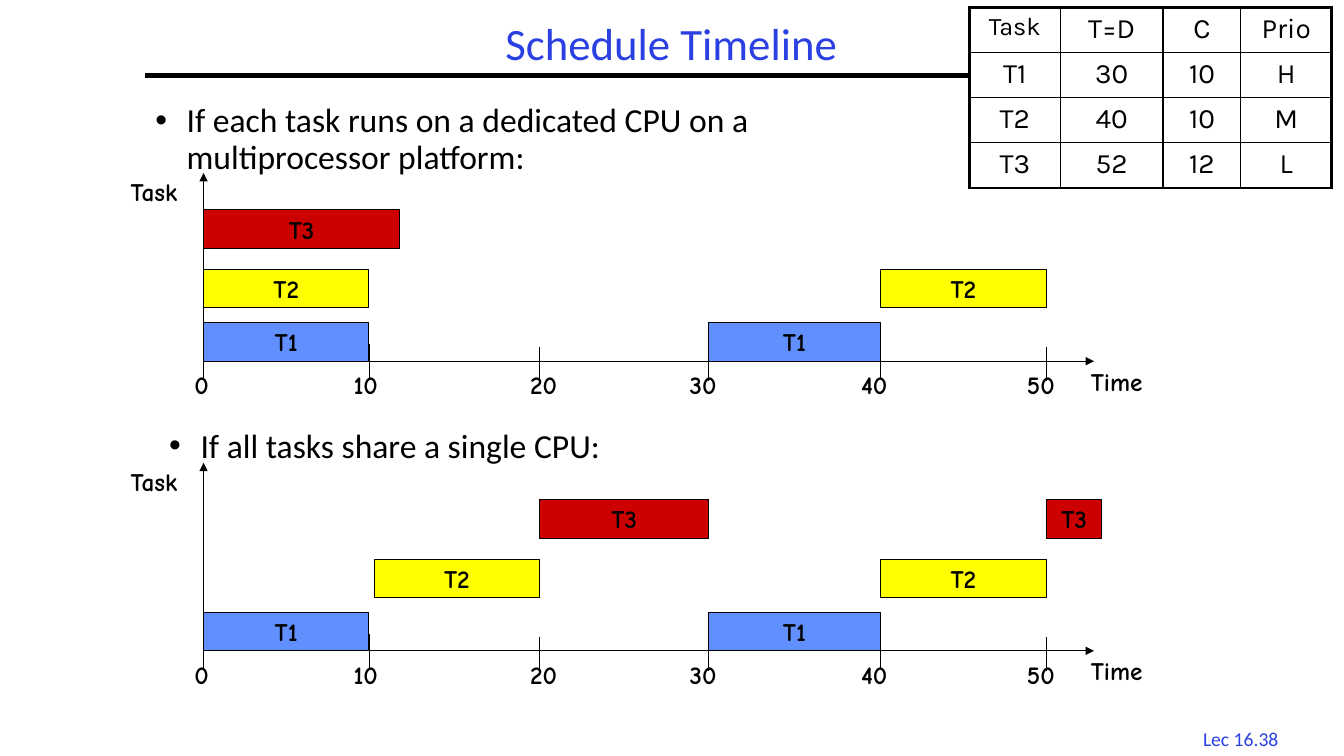
from lxml import etree
from pptx import Presentation
from pptx import util as u
from pptx.dml.color import RGBColor
from pptx.enum import shapes, text
from pptx.oxml import ns

BLACK = RGBColor(0, 0, 0)
WHITE = RGBColor(255, 255, 255)
INDIGO = RGBColor(0x2A, 0x40, 0xE2)
BLUE = RGBColor(0x61, 0x8F, 0xFD)
YELLOW = RGBColor(255, 255, 0)
RED = RGBColor(0xCC, 0, 0)

TICKS = [  # value, x, y shift, label x
    (0, 5.13, 0, 4.65),
    (10, 9.3, 0, 8.66),
    (20, 13.6, 0.08, 13.11),
    (30, 17.86, 0.08, 17.13),
    (40, 22.18, 0, 21.45),
    (50, 26.38, 0.08, 25.63),
]
TASKS = {"T1": (BLUE, 0.97), "T2": (YELLOW, 2.31), "T3": (RED, 3.81)}
DEDICATED = [("T1", 0, 10), ("T1", 30, 40), ("T2", 0, 10),
             ("T2", 40, 50), ("T3", 0, 11.8)]
SHARED = [("T1", 0, 10), ("T1", 30, 40), ("T2", 10.3, 20),
          ("T2", 40, 50), ("T3", 20, 30), ("T3", 50, 53.3)]
TABLE = [("Task", "T=D", "C", "Prio"),
         ("T1", "30", "10", "H"),
         ("T2", "40", "10", "M"),
         ("T3", "52", "12", "L")]


def time_x(t):
    i = min(int(t // 10), len(TICKS) - 2)
    start, end = TICKS[i][1], TICKS[i + 1][1]
    return start + (t - TICKS[i][0]) / 10 * (end - start)


class Deck:
    body_font = "Calibri"
    label_font = "Comic Neue"
    table_font = "Karla"

    def __init__(self):
        self.prs = Presentation()
        self.prs.slide_width = u.Cm(33.87)
        self.prs.slide_height = u.Cm(19.05)
        self.s = self.prs.slides.add_slide(self.prs.slide_layouts[3])

    def style(self, p, font, size, color=BLACK, bold=False, align=None):
        p.alignment = align
        for r in p.runs:
            r.font.name = font
            r.font.size = u.Pt(size)
            r.font.bold = bold
            r.font.color.rgb = color

    def placeholder(self, index, box, words):
        sp = self.s.placeholders[index]
        sp.left, sp.top, sp.width, sp.height = map(u.Cm, box)
        tf = sp.text_frame
        tf.text = words
        tf.auto_size = text.MSO_AUTO_SIZE.NONE
        p = tf.paragraphs[0]
        p.line_spacing = 0.9
        p.space_before = u.Pt(0)
        return tf, p

    def title(self, box, words):
        tf, p = self.placeholder(0, box, words)
        tf.vertical_anchor = text.MSO_ANCHOR.MIDDLE
        self.style(p, self.body_font, 32, INDIGO, align=text.PP_ALIGN.CENTER)

    def bullet(self, index, box, words):
        tf, p = self.placeholder(index, box, words)
        tf.vertical_anchor = text.MSO_ANCHOR.TOP
        pPr = p._p.get_or_add_pPr()
        pPr.set("marL", str(u.Cm(0.79)))
        pPr.set("indent", str(-u.Cm(0.79)))
        etree.SubElement(pPr, ns.qn("a:buChar")).set("char", "•")
        self.style(p, self.body_font, 24, align=text.PP_ALIGN.LEFT)

    def line(self, x1, y1, x2, y2, width=0.75, arrow=False):
        c = self.s.shapes.add_connector(
            shapes.MSO_CONNECTOR.STRAIGHT, *map(u.Cm, (x1, y1, x2, y2)))
        c.line.color.rgb = BLACK
        c.line.width = u.Pt(width)
        if arrow:
            ln = c.line._get_or_add_ln()
            etree.SubElement(ln, ns.qn("a:tailEnd")).set("type", "triangle")
        etree.SubElement(c._element.spPr, ns.qn("a:effectLst"))

    def label(self, x, y, w, words, h=1.02, font=label_font, size=18,
              color=BLACK, bold=True, align=text.PP_ALIGN.LEFT):
        sp = self.s.shapes.add_textbox(*map(u.Cm, (x, y, w, h)))
        tf = sp.text_frame
        tf.text = words
        tf.word_wrap = False
        tf.auto_size = text.MSO_AUTO_SIZE.SHAPE_TO_FIT_TEXT
        self.style(tf.paragraphs[0], font, size, color, bold, align)

    def bar(self, x, y, w, words, color):
        sp = self.s.shapes.add_shape(
            shapes.MSO_SHAPE.RECTANGLE, *map(u.Cm, (x, y, w, 0.97)))
        sp.shadow.inherit = False
        sp.fill.solid()
        sp.fill.fore_color.rgb = color
        sp.line.color.rgb = BLACK
        sp.line.width = u.Pt(0.75)
        tf = sp.text_frame
        tf.text = words
        tf.word_wrap = False
        tf.vertical_anchor = text.MSO_ANCHOR.MIDDLE
        self.style(tf.paragraphs[0], self.label_font, 18, bold=True,
                   align=text.PP_ALIGN.CENTER)

    def timeline(self, base, jobs):
        origin = TICKS[0][1]
        self.line(origin, base, 27.57, base, arrow=True)
        self.line(origin, base, origin, base - 4.74, arrow=True)
        for value, x, shift, label_x in TICKS:
            self.line(x, base - 0.43 + shift, x, base + 0.43 + shift)
            self.label(label_x, base + 0.09, 1.3 if value else 0.91, str(value))
        for task, start, end in jobs:
            color, rise = TASKS[task]
            x = time_x(start)
            self.bar(x, base - rise, time_x(end) - x, task, color)
        self.label(27.24, base, 2.01, "Time")
        self.label(3.04, base - 4.77, 1.98, "Task")

    def border(self, cell, side, width):
        ln = etree.SubElement(cell._tc.get_or_add_tcPr(), ns.qn("a:ln" + side))
        ln.set("w", str(u.Pt(width)))
        fill = etree.SubElement(ln, ns.qn("a:solidFill"))
        etree.SubElement(fill, ns.qn("a:srgbClr")).set("val", str(BLACK))

    def table(self, x, y, widths, row_height, rows):
        last_row, last_col = len(rows) - 1, len(widths) - 1
        box = (x, y, sum(widths), row_height * len(rows))
        tbl = self.s.shapes.add_table(
            len(rows), len(widths), *map(u.Cm, box)).table
        tbl.first_row = tbl.horz_banding = False
        for col, width in zip(tbl.columns, widths):
            col.width = u.Cm(width)
        for i, row in enumerate(rows):
            tbl.rows[i].height = u.Cm(row_height)
            for j, words in enumerate(row):
                cell = tbl.cell(i, j)
                cell.text = words
                cell.margin_left = cell.margin_right = u.Cm(0.48)
                cell.margin_top = cell.margin_bottom = u.Cm(0.13)
                outer = {"L": j == 0, "R": j == last_col,
                         "T": i == 0, "B": i == last_row}
                for side, thick in outer.items():
                    self.border(cell, side, 2.25 if thick else 1)
                cell.fill.solid()
                cell.fill.fore_color.rgb = WHITE
                self.style(cell.text_frame.paragraphs[0], self.table_font,
                           18 if words == "Task" else 20,
                           align=text.PP_ALIGN.CENTER)


def main():
    d = Deck()
    d.title((3.66, 0.43, 26.52, 1.47), "Schedule Timeline")
    d.line(3.66, 1.9, 30.2, 1.9, width=3)
    d.bullet(1, (3.66, 2.49, 18.49, 3.71),
             "If each task runs on a dedicated CPU on a multiprocessor platform:")
    d.timeline(9.1, DEDICATED)
    d.bullet(2, (4.01, 10.69, 23.75, 1.9), "If all tasks share a single CPU:")
    d.timeline(16.4, SHARED)
    d.table(24.43, 0.18, (2.29, 2.59, 1.96, 2.29), 1.14, TABLE)
    d.label(29.9, 18.19, 2.74, "Lec 16.38", h=0.84, font=d.body_font, size=14,
            color=INDIGO, bold=False, align=text.PP_ALIGN.CENTER)
    d.prs.save("out.pptx")


if __name__ == "__main__":
    main()
